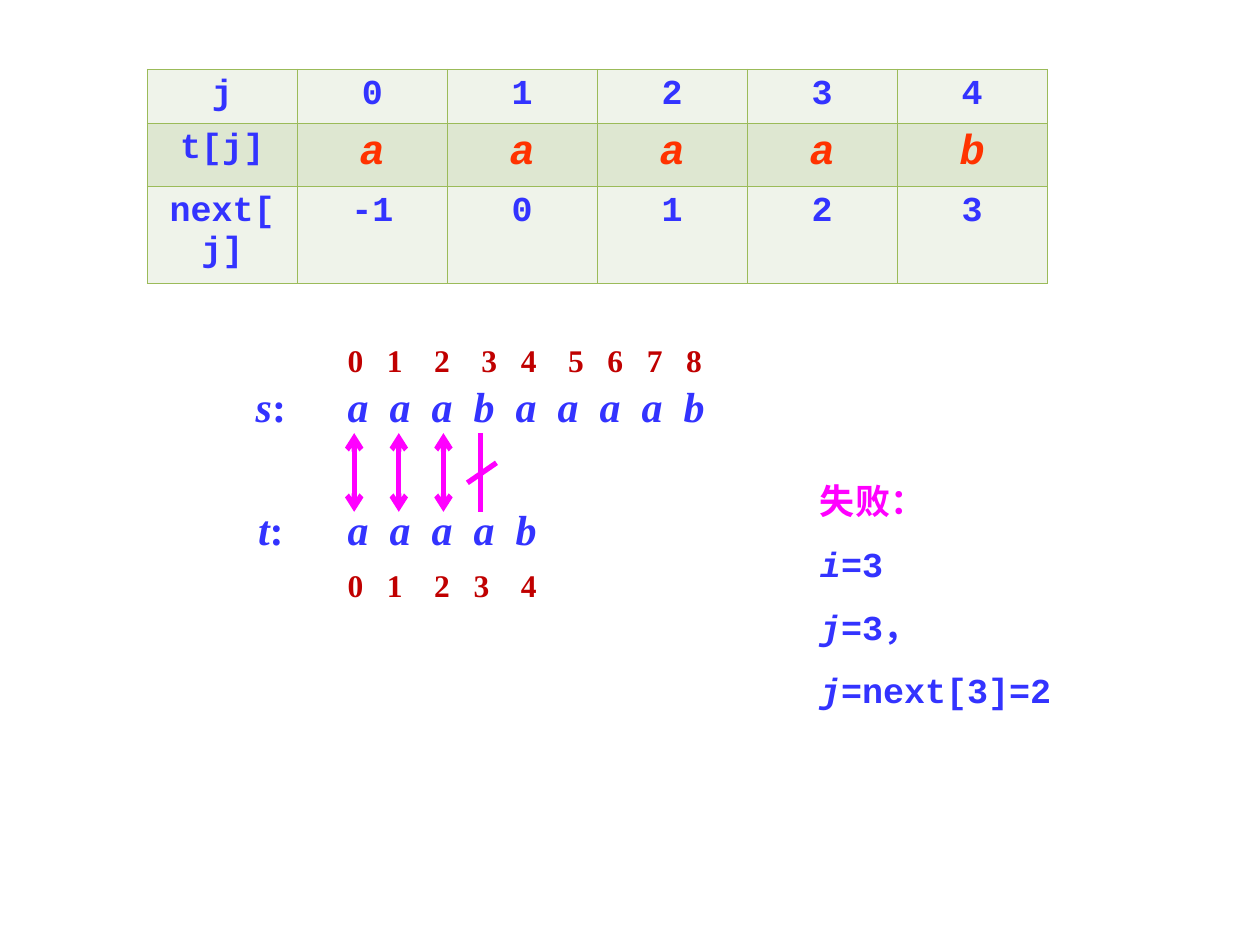
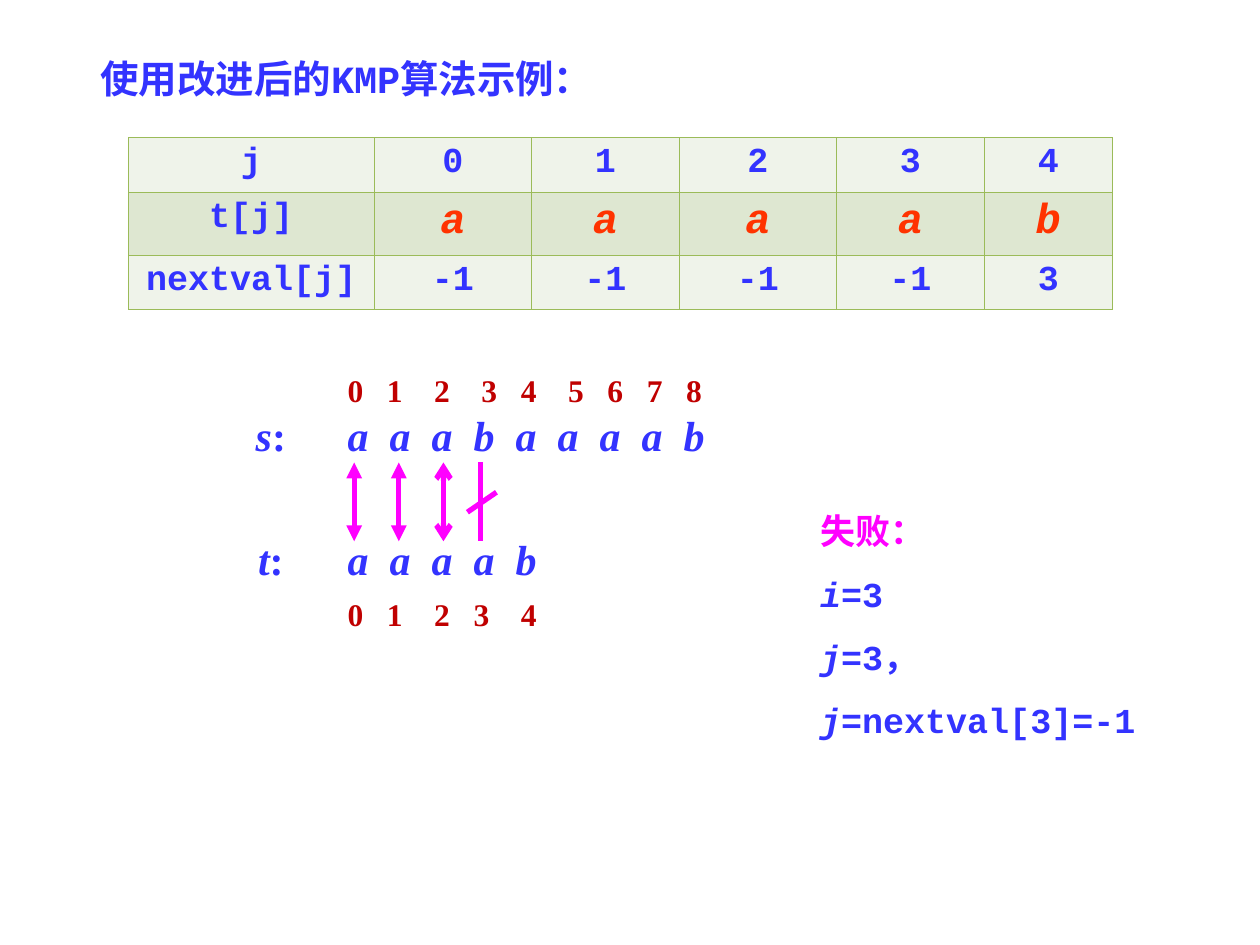
"""Build two slides that trace a failed match in the KMP algorithm."""
from itertools import accumulate

from lxml import etree
from pptx import Presentation
from pptx import util as u
from pptx.dml.color import RGBColor
from pptx.enum import shapes, text
from pptx.oxml.ns import qn

COLORS = {
    "blue": "3333FF",
    "letter": "FF3300",
    "index": "C00000",
    "match": "FF00FF",
    "border": "9BBB59",
    "light": "EFF3EA",
    "band": "DEE7D1",
}
CODE, SERIF = "Courier New", "Times New Roman"
LETTER_GAP, NARROW, WIDE = 24, 22.5, 27
TEXT_LEFT, LABEL_LEFT, RESULT_LEFT = 191.5, 129.6, 461.5


def rgb(name):
    """Return the named colour."""
    return RGBColor.from_string(COLORS[name])


def write(paragraph, pieces, font, size, color):
    """Add bold runs, given as (words, italic) pairs."""
    for words, italic in pieces:
        run = paragraph.add_run()
        run.text = words
        run.font.name, run.font.size = font, u.Pt(size)
        run.font.bold, run.font.italic = True, italic
        run.font.color.rgb = rgb(color)


def add_tabs(paragraph, gaps):
    """Set left tab stops separated by the gaps."""
    stops = etree.SubElement(paragraph._p.get_or_add_pPr(), qn("a:tabLst"))
    for position in accumulate(gaps):
        etree.SubElement(stops, qn("a:tab"), pos=str(u.Pt(position)), algn="l")


def add_text(slide, left, top, width, height):
    """Add a wrapping text box and return its frame."""
    frame = slide.shapes.add_textbox(*map(u.Pt, (left, top, width, height))).text_frame
    frame.word_wrap = True
    return frame


def add_sequence(slide, top, symbols, gaps, font_size, color, italic):
    """Add symbols spread over tab stops."""
    line = add_text(slide, TEXT_LEFT, top, 242, font_size * 1.5).paragraphs[0]
    add_tabs(line, gaps)
    write(line, [("\t".join(symbols), italic)], SERIF, font_size, color)


def add_string(slide, top, name, letters):
    """Add a string name and its letters."""
    label = add_text(slide, LABEL_LEFT, top, 50.4, 36).paragraphs[0]
    label.alignment = text.PP_ALIGN.CENTER
    write(label, [(name, True), (":", False)], SERIF, 24, "blue")
    add_sequence(slide, top, letters, [LETTER_GAP] * (len(letters) - 1), 24, "blue", True)


def add_indices(slide, top, gaps):
    """Add the index numbers of a string."""
    add_sequence(slide, top, map(str, range(len(gaps) + 1)), gaps, 18, "index", False)


def add_line(parent, start, end, arrow=None):
    """Add a line, with the given arrowhead at both ends."""
    link = parent.add_connector(shapes.MSO_CONNECTOR.STRAIGHT, *map(u.Pt, start + end))
    link.line.color.rgb = rgb("match")
    link.line.width = u.Pt(3)
    if arrow:
        outline = link.line._get_or_add_ln()
        for tag in ("a:headEnd", "a:tailEnd"):
            etree.SubElement(outline, qn(tag), type=arrow)
    etree.SubElement(link._element.spPr, qn("a:effectLst"))


def add_borders(cell):
    """Outline a cell with thin green lines."""
    properties = cell._tc.get_or_add_tcPr()
    for place, side in enumerate(("a:lnL", "a:lnR", "a:lnT", "a:lnB")):
        border = etree.Element(qn(side), w=str(u.Pt(0.45)))
        fill = etree.SubElement(border, qn("a:solidFill"))
        etree.SubElement(fill, qn("a:srgbClr"), val=COLORS["border"])
        properties.insert(place, border)


def add_next_table(slide, left, top, widths, heights, name, values):
    """Add the table of pattern letters and jump values."""
    rows = (["j", *"01234"], ["t[j]", *"aaaab"], [name, *values])
    grid = slide.shapes.add_table(
        len(rows), len(widths), *map(u.Pt, (left, top, sum(widths), sum(heights)))
    ).table
    for column, width in zip(grid.columns, widths):
        column.width = u.Pt(width)
    for r, (row, height) in enumerate(zip(rows, heights)):
        grid.rows[r].height = u.Pt(height)
        for c, words in enumerate(row):
            cell = grid.cell(r, c)
            cell.fill.solid()
            cell.fill.fore_color.rgb = rgb("band" if r == 1 else "light")
            add_borders(cell)
            entry = cell.text_frame.paragraphs[0]
            entry.alignment = text.PP_ALIGN.CENTER
            is_letter = r == 1 and c > 0
            size, color = (24, "letter") if is_letter else (20, "blue")
            write(entry, [(words, is_letter)], CODE, size, color)


def add_match(slide, top, arrows):
    """Add both strings, their indices and the match marks."""
    add_indices(slide, top, [NARROW, WIDE, WIDE, NARROW, WIDE, NARROW, NARROW, NARROW])
    add_string(slide, top + 22.4, "s", "aaabaaaab")
    add_string(slide, top + 92.9, "t", "aaaab")
    add_indices(slide, top + 128.2, [NARROW, WIDE, NARROW, WIDE])
    upper, lower = top + 56, top + 101
    for i, arrow in enumerate(arrows):
        x = 202.4 + 25.5 * i
        add_line(slide.shapes, (x, upper), (x, lower), arrow)
    mismatch = slide.shapes.add_group_shape().shapes
    add_line(mismatch, (274.4, upper), (274.4, lower))
    add_line(mismatch, (283.7, top + 73), (267.1, top + 84.4))


def add_result(slide, top, width, jump):
    """Add the state after the failed comparison."""
    frame = add_text(slide, RESULT_LEFT, top, width, 151)
    lines = (
        ("match", [("失败：", False)]),
        ("blue", [("i", True), ("=3", False)]),
        ("blue", [("j", True), ("=3，", False)]),
        ("blue", [("j", True), (jump, False)]),
    )
    for i, (color, pieces) in enumerate(lines):
        line = frame.add_paragraph() if i else frame.paragraphs[0]
        line.line_spacing = 1.5
        write(line, pieces, CODE, 20, color)


def main():
    """Build and save both slides."""
    deck = Presentation()
    deck.slide_width, deck.slide_height = u.Pt(720), u.Pt(540)
    blank = deck.slide_layouts[6]

    plain = deck.slides.add_slide(blank)
    add_next_table(plain, 84.2, 39.6, [85.7] * 6, [31, 36, 55.5],
                   "next[j]", ["-1", *"0123"])
    add_match(plain, 191.5, ["arrow"] * 3)
    add_result(plain, 258.5, 202, "=next[3]=2")

    improved = deck.slides.add_slide(blank)
    title = add_text(improved, 50.4, 28, 338, 34).paragraphs[0]
    write(title, [("使用改进后的KMP算法示例：", False)], CODE, 22, "blue")
    add_next_table(improved, 73.4, 78.5, [140.4, 90, 84.3, 90, 84.3, 73.4], [31, 36, 31],
                   "nextval[j]", ["-1"] * 4 + ["3"])
    add_match(improved, 208.3, ["triangle", "triangle", "arrow"])
    add_result(improved, 275.5, 248, "=nextval[3]=-1")

    deck.save("out.pptx")


if __name__ == "__main__":
    main()
